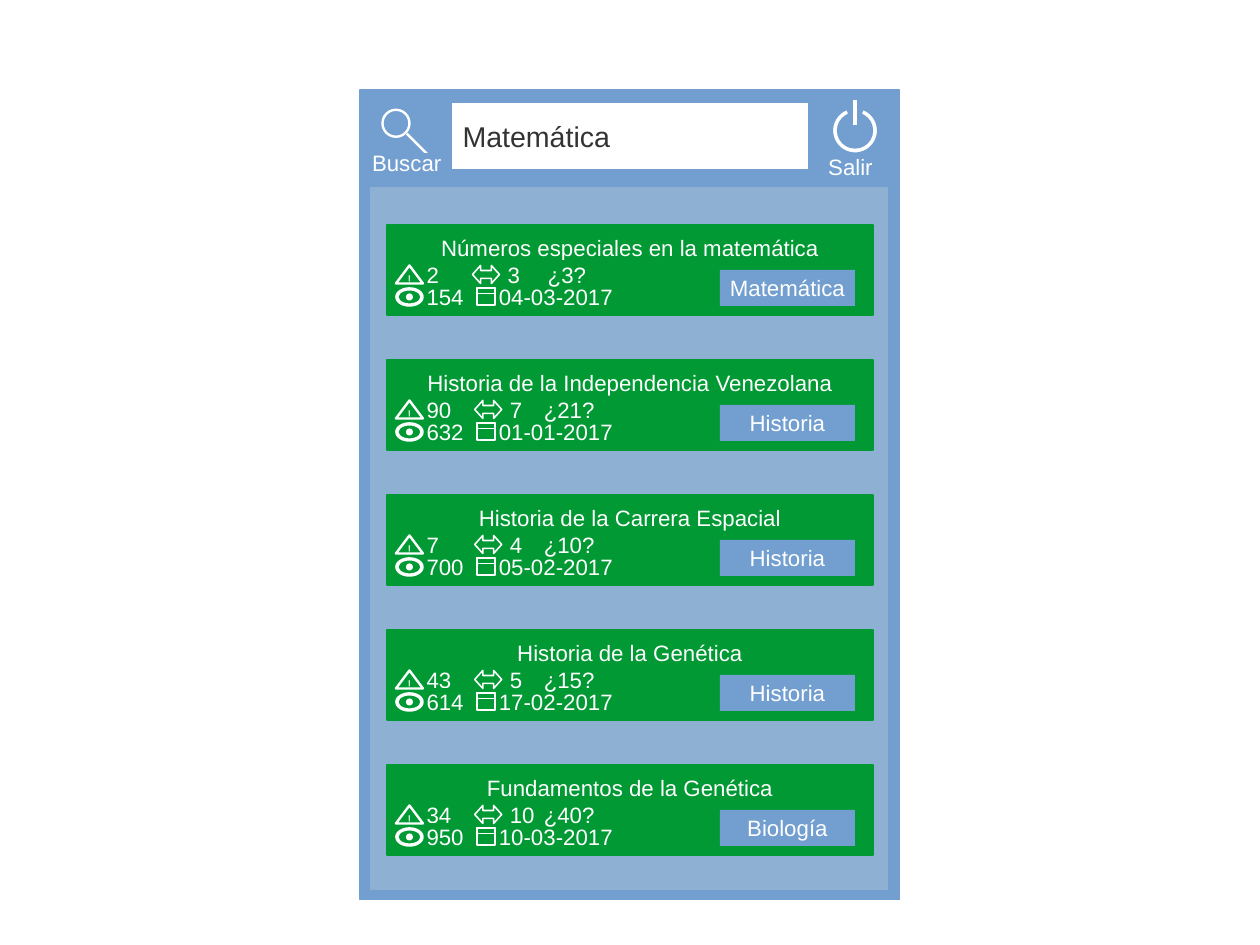
from dataclasses import dataclass
from typing import Any, NamedTuple, Optional

from lxml import etree
from pptx import Presentation
from pptx import util as u
from pptx.dml.color import RGBColor
from pptx.enum import shapes, text
from pptx.oxml.ns import qn

COLUMNS, ROWS = 280, 210
SLIDE_W, SLIDE_H = u.Cm(28), u.Cm(21)
CARD_TOP, CARD_PITCH = 50, 30

KIND = shapes.MSO_SHAPE
LEFT, CENTER, RIGHT = text.PP_ALIGN.LEFT, text.PP_ALIGN.CENTER, text.PP_ALIGN.RIGHT


@dataclass(frozen=True)
class Theme:
    font: str = "Arial"
    blue: str = "729FCF"
    panel: str = "8EB0D3"
    green: str = "009933"
    white: str = "FFFFFF"
    ink: str = "333333"
    body: float = 14
    query: float = 18
    mark: float = 8
    thin: float = 1
    icon: float = 1.5
    field: float = 2.3


class Box(NamedTuple):
    """Place on the grid, in columns and rows."""
    x: float
    y: float
    w: float
    h: float


class Label(NamedTuple):
    words: str
    align: Any = CENTER
    size: float = 14
    color: str = "FFFFFF"
    inset_x: float = 0.11
    inset_y: float = 0.06


@dataclass(frozen=True)
class Card:
    title: str
    alerts: str
    views: str
    shares: str
    questions: str
    date: str
    subject: str
    shift: float = 0.5


THEME = Theme()

CARDS = [
    Card("Números especiales en la matemática", "2", "154", "3", "¿3?",
         "04-03-2017", "Matemática", shift=0),
    Card("Historia de la Independencia Venezolana", "90", "632", "7", "¿21?",
         "01-01-2017", "Historia"),
    Card("Historia de la Carrera Espacial", "7", "700", "4", "¿10?",
         "05-02-2017", "Historia"),
    Card("Historia de la Genética", "43", "614", "5", "¿15?",
         "17-02-2017", "Historia"),
    Card("Fundamentos de la Genética", "34", "950", "10", "¿40?",
         "10-03-2017", "Biología"),
]


def across(columns: float) -> int:
    return round(SLIDE_W * columns / COLUMNS)


def down(rows: float) -> int:
    return round(SLIDE_H * rows / ROWS)


def write(sp: Any, label: Label) -> None:
    tf = sp.text_frame
    tf.word_wrap = False
    tf.vertical_anchor = text.MSO_ANCHOR.MIDDLE
    tf.margin_left = tf.margin_right = u.Inches(label.inset_x)
    tf.margin_top = tf.margin_bottom = u.Inches(label.inset_y)
    p = tf.paragraphs[0]
    p.alignment = label.align
    r = p.add_run()
    r.text = label.words
    r.font.name = THEME.font
    r.font.size = u.Pt(label.size)
    r.font.color.rgb = RGBColor.from_string(label.color)


def draw(parent: Any, box: Box, fill: str, line: Optional[str] = None,
         width: float = THEME.thin, kind: Any = KIND.RECTANGLE,
         adjust: tuple[float, ...] = (), label: Optional[Label] = None) -> Any:
    """Add one shape; without a line colour it has no outline."""
    sp = parent.shapes.add_shape(kind, across(box.x), down(box.y),
                                 across(box.w), down(box.h))
    sp.shadow.inherit = False
    sp.fill.solid()
    sp.fill.fore_color.rgb = RGBColor.from_string(fill)
    if line:
        sp.line.color.rgb = RGBColor.from_string(line)
        sp.line.width = u.Pt(width)
    else:
        sp.line.fill.background()
    for i, value in enumerate(adjust):
        sp.adjustments[i] = value
    if label:
        write(sp, label)
    return sp


def make_translucent(sp: Any, percent: int) -> None:
    color = sp.fill._xPr.find(qn("a:solidFill"))[0]
    etree.SubElement(color, qn("a:alpha")).set("val", str(percent * 1000))


def draw_search(s: Any) -> None:
    t = THEME
    group = s.shapes.add_group_shape()
    draw(group, Box(81, 20.5, 19, 19), t.blue, t.blue, t.icon)
    draw(group, Box(85, 24.4, 6, 6), t.blue, t.white, t.icon, KIND.OVAL)
    handle = group.shapes.add_connector(
        shapes.MSO_CONNECTOR.STRAIGHT, across(90.4), down(29.7), across(95), down(34.3))
    handle.line.color.rgb = RGBColor.from_string(t.white)
    handle.line.width = u.Pt(t.icon)
    etree.SubElement(handle._element.spPr, qn("a:effectLst"))
    draw(group, Box(82, 34.3, 16.8, 3.8), t.blue, t.blue, t.icon, label=Label("Buscar"))


def draw_exit(s: Any) -> None:
    t = THEME
    group = s.shapes.add_group_shape()
    draw(group, Box(180, 20.5, 19.4, 19.6), t.blue, t.blue, t.icon)
    draw(group, Box(180.5, 35.2, 17, 3.8), t.blue, t.blue, t.icon, label=Label("Salir"))
    arc = draw(group, Box(185, 24, 10, 10), t.white, t.blue, 0,
               KIND.BLOCK_ARC, (66.55, 41.45, 0.11))
    arc.rotation = 180
    draw(group, Box(189.5, 22, 1, 6), t.white, t.blue, 0)


def draw_card(s: Any, card: Card, top: float) -> None:
    t = THEME
    group = s.shapes.add_group_shape()
    upper, lower = top + 8, top + 13
    icon_upper, icon_lower = upper + 1, lower + 1

    draw(group, Box(86, top, 108, 20), t.green, t.green)
    fields = [
        (Box(88, top + 2, 104, 6), card.title, CENTER),
        (Box(92, upper, 14, 6), card.alerts, LEFT),
        (Box(92, lower, 14, 6), card.views, LEFT),
        (Box(109, lower, 30, 6), card.date, RIGHT),
        (Box(110 + card.shift, upper, 14, 6), card.shares, LEFT),
    ]
    for box, words, align in fields:
        draw(group, box, t.green, t.green, label=Label(words, align))

    draw(group, Box(88, icon_lower, 6, 4), t.white, t.white,
         kind=KIND.DONUT, adjust=(0.1,))
    draw(group, Box(90.4, icon_lower + 1.4, 1.2, 1.2), t.white, t.white, kind=KIND.OVAL)
    for calendar_height in (3.8, 1.2):
        draw(group, Box(106, icon_lower, 4, calendar_height), t.green, t.white)
    draw(group, Box(160, top + 10, 30, 8), t.blue,
         label=Label(card.subject, inset_x=0.1, inset_y=0.05))
    draw(group, Box(105 + card.shift, icon_upper, 6, 4), t.green, t.white,
         kind=KIND.LEFT_RIGHT_ARROW, adjust=(0.44, 0.45))
    questions = draw(group, Box(123 + card.shift, upper, 6, 6), t.green, t.green, 0,
                     label=Label(card.questions, inset_x=0.1, inset_y=0.05))
    make_translucent(questions, 50)
    draw(group, Box(88, icon_upper, 6, 4), t.green, t.white, t.icon,
         KIND.ISOSCELES_TRIANGLE, label=Label("!", size=t.mark, inset_y=-0.01))


def main() -> None:
    t = THEME
    prs = Presentation()
    prs.slide_width, prs.slide_height = SLIDE_W, SLIDE_H
    s = prs.slides.add_slide(prs.slide_layouts[6])
    draw(s, Box(80, 20, 120, 180), t.blue, t.blue, 0)
    draw(s, Box(82, 41.5, 115.5, 156.5), t.panel, t.blue, 0)
    draw_search(s)
    for row, card in enumerate(CARDS):
        draw_card(s, card, CARD_TOP + row * CARD_PITCH)
    draw(s, Box(100, 22.5, 80, 15.5), t.white, t.blue, t.field,
         label=Label("Matemática", LEFT, t.query, t.ink))
    draw_exit(s)
    prs.save("out.pptx")


if __name__ == "__main__":
    main()
